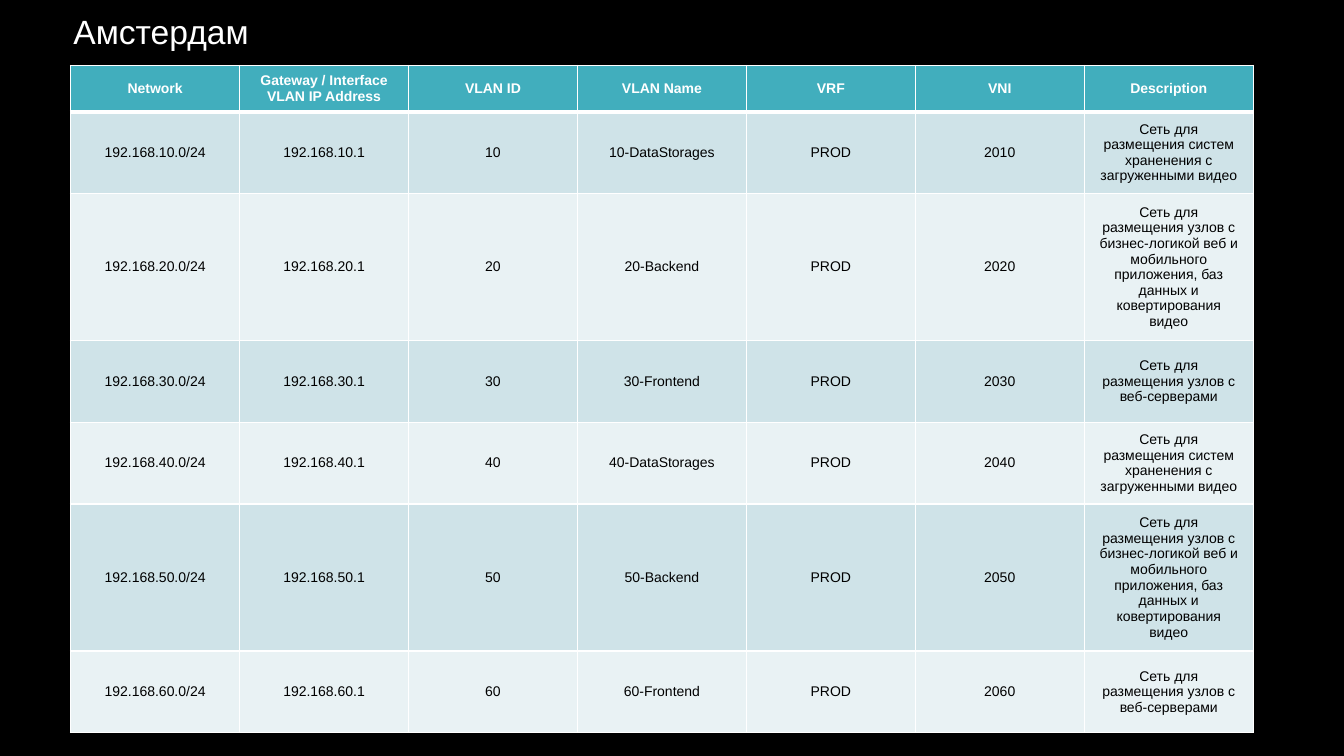
"""Build the Amsterdam network plan slide."""
import lxml.etree
import pptx
import pptx.dml.color
import pptx.enum.text
import pptx.oxml.ns
import pptx.util

TITLE = "Амстердам"
HEADERS = ["Network", "Gateway / Interface VLAN IP Address", "VLAN ID",
           "VLAN Name", "VRF", "VNI", "Description"]
ROLES = [
    ("DataStorages", "Сеть для размещения систем храненения с загруженными видео"),
    ("Backend", "Сеть для размещения узлов с бизнес-логикой веб и мобильного "
                "приложения, баз данных и ковертирования видео"),
    ("Frontend", "Сеть для размещения узлов с веб-серверами"),
]
NETWORK_COUNT = 6
FONT = "Arial"
BLACK, WHITE, TEAL = "000000", "FFFFFF", "41AEBD"
BANDS = ["CFE3E8", "E9F2F4"]
SLIDE_SIZE = (13.33, 7.5)
TITLE_BOX = (0.63, 0.06, 1.96, 0.5)
TABLE_LEFT, TABLE_TOP, TABLE_WIDTH = 0.7, 0.65, 11.73
HEADER_HEIGHT = 0.46
ROLE_HEIGHTS = [0.81, 1.46, 0.81]
MARGIN_X, MARGIN_Y = 0.14, 0.06

inches = pptx.util.Inches


def color(value):
    """Turn a hex string into a colour."""
    return pptx.dml.color.RGBColor.from_string(value)


def write(text_frame, text, size, text_color, bold=False):
    """Put one formatted line of text in a frame."""
    text_frame.text = text
    font = text_frame.paragraphs[0].runs[0].font
    font.name, font.size, font.bold = FONT, pptx.util.Pt(size), bold
    font.color.rgb = color(text_color)


def add_border(cell, side, width):
    """Draw a white line on one side of a cell."""
    qn = pptx.oxml.ns.qn
    properties = cell._tc.get_or_add_tcPr()
    line = lxml.etree.SubElement(properties, qn(f"a:ln{side}"), w=str(pptx.util.Pt(width)))
    fill = lxml.etree.SubElement(line, qn("a:solidFill"))
    lxml.etree.SubElement(fill, qn("a:srgbClr"), val=WHITE)


def network_row(index):
    """Compose the cells of one network."""
    vlan = 10 * (index + 1)
    name, description = ROLES[index % len(ROLES)]
    return [f"192.168.{vlan}.0/24", f"192.168.{vlan}.1", str(vlan),
            f"{vlan}-{name}", "PROD", str(2000 + vlan), description]


def format_cell(cell, text, row):
    """Fill, frame and label a cell by its row."""
    header = row == 0
    cell.margin_left = cell.margin_right = inches(MARGIN_X)
    cell.margin_top = cell.margin_bottom = inches(MARGIN_Y)
    cell.vertical_anchor = pptx.enum.text.MSO_ANCHOR.MIDDLE
    write(cell.text_frame, text, 10, WHITE if header else BLACK, header)
    cell.text_frame.paragraphs[0].alignment = pptx.enum.text.PP_ALIGN.CENTER
    widths = {"L": 1, "R": 1, "T": 3 if row == 1 else 1, "B": 3 if header else 1}
    for side, width in widths.items():
        add_border(cell, side, width)
    cell.fill.solid()
    cell.fill.fore_color.rgb = color(TEAL if header else BANDS[(row - 1) % 2])


def add_title(slide):
    """Add the city name."""
    frame = slide.shapes.add_textbox(*map(inches, TITLE_BOX)).text_frame
    write(frame, TITLE, 24, WHITE)
    frame.word_wrap = False
    frame.auto_size = pptx.enum.text.MSO_AUTO_SIZE.SHAPE_TO_FIT_TEXT


def add_networks(slide):
    """Add the network table."""
    rows = [HEADERS] + [network_row(index) for index in range(NETWORK_COUNT)]
    heights = [HEADER_HEIGHT] + [ROLE_HEIGHTS[index % len(ROLES)] for index in range(NETWORK_COUNT)]
    bounds = (TABLE_LEFT, TABLE_TOP, TABLE_WIDTH, sum(heights))
    table = slide.shapes.add_table(len(rows), len(HEADERS), *map(inches, bounds)).table
    for row, (texts, height) in enumerate(zip(rows, heights)):
        table.rows[row].height = inches(height)
        for column, text in enumerate(texts):
            format_cell(table.cell(row, column), text, row)


def main():
    """Create and save the presentation."""
    presentation = pptx.Presentation()
    presentation.slide_width, presentation.slide_height = map(inches, SLIDE_SIZE)
    slide = presentation.slides.add_slide(presentation.slide_layouts[6])
    slide.background.fill.solid()
    slide.background.fill.fore_color.rgb = color(BLACK)
    add_title(slide)
    add_networks(slide)
    presentation.save("out.pptx")


if __name__ == "__main__":
    main()
